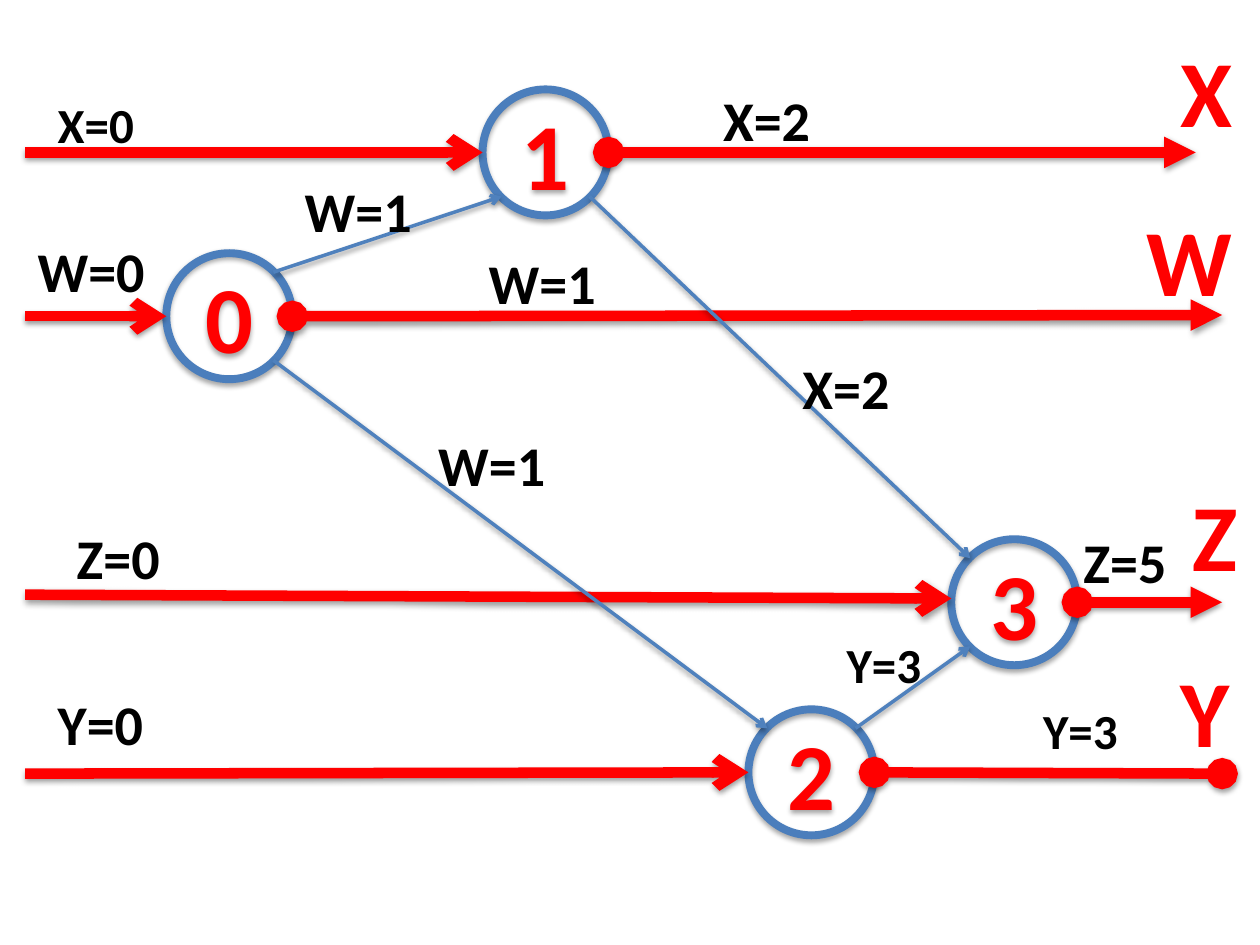
from lxml.etree import SubElement
from pptx import Presentation
from pptx.dml.color import RGBColor
from pptx.enum.shapes import MSO_CONNECTOR, MSO_SHAPE
from pptx.enum.text import MSO_ANCHOR, MSO_AUTO_SIZE, PP_ALIGN
from pptx.oxml.ns import qn
from pptx.util import Inches, Pt

COLORS = {"red": "FF0000", "ring": "4B7EBC", "edge": "4F81BD", "black": "000000"}
DIAMETER = 1.0
RADIUS = DIAMETER / 2
DIAGONAL = 0.35  # centre to the 45-degree point on the ring, along each axis

prs = Presentation()
prs.slide_width, prs.slide_height = Inches(10), Inches(7.5)
slide = prs.slides.add_slide(prs.slide_layouts[6])


def style_stroke(item, color, width, opacity, distance):
    """Set the line of a shape or connector and give it a soft shadow below."""
    item.line.color.rgb = RGBColor.from_string(COLORS[color])
    item.line.width = Pt(width)
    properties = item._element.spPr
    for old in properties.findall(qn("a:effectLst")):
        properties.remove(old)
    effects = SubElement(properties, qn("a:effectLst"))
    shadow = SubElement(effects, qn("a:outerShdw"), blurRad=str(Pt(3.1)),
                        dist=str(Pt(distance)), dir="5400000", rotWithShape="0")
    black = SubElement(shadow, qn("a:srgbClr"), val=COLORS["black"])
    SubElement(black, qn("a:alpha"), val=str(opacity * 1000))


def write(frame, text, size, color):
    frame.text = text
    font = frame.paragraphs[0].runs[0].font
    font.name, font.size, font.bold = "Calibri", Pt(size), True
    font.color.rgb = RGBColor.from_string(COLORS[color])


# Numbered nodes, by centre
nodes = {"0": (1.82, 2.51), "3": (8.05, 4.78), "1": (4.33, 1.21), "2": (6.44, 6.13)}
for number, (x, y) in nodes.items():
    node = slide.shapes.add_shape(MSO_SHAPE.OVAL, Inches(x - RADIUS), Inches(y - RADIUS),
                                  Inches(DIAMETER), Inches(DIAMETER))
    node.fill.background()
    style_stroke(node, "ring", 4.5, 35, 1.8)
    write(node.text_frame, number, 54, "red")
    node.text_frame.vertical_anchor = MSO_ANCHOR.MIDDLE
    node.text_frame.paragraphs[0].alignment = PP_ALIGN.CENTER

# Timelines: node, start and end of its variable's line, arrival height, end mark
timelines = [
    ("0", (0.2, 2.51), (9.7, 2.5), 2.51, "triangle"),
    ("1", (0.2, 1.21), (9.49, 1.21), 1.21, "triangle"),
    ("3", (0.2, 4.72), (9.7, 4.78), 4.75, "triangle"),
    ("2", (0.2, 6.14), (9.7, 6.14), 6.13, "oval"),
]
links = []
for number, start, end, arrival, end_mark in timelines:
    x, y = nodes[number]
    links.append(((x + RADIUS, y), end, "red", 6, "oval", end_mark))
    links.append((start, (x - RADIUS, arrival), "red", 6, "none", "arrow"))

# Dependencies: source, vertical side it leaves from, target, side it enters (-1 is up)
dependencies = [("0", -1, "1", 1), ("0", 1, "2", -1), ("1", 1, "3", -1), ("2", -1, "3", 1)]
for source, leaving, target, entering in dependencies:
    (x1, y1), (x2, y2) = nodes[source], nodes[target]
    links.append(((x1 + DIAGONAL, y1 + leaving * DIAGONAL),
                  (x2 - DIAGONAL, y2 + entering * DIAGONAL), "edge", 2, "none", "arrow"))

for (x1, y1), (x2, y2), color, width, head, tail in links:
    link = slide.shapes.add_connector(MSO_CONNECTOR.STRAIGHT, Inches(x1), Inches(y1),
                                      Inches(x2), Inches(y2))
    style_stroke(link, color, width, 38, 1.6)
    stroke = link.line._get_or_add_ln()
    SubElement(stroke, qn("a:headEnd"), type=head)
    SubElement(stroke, qn("a:tailEnd"), type=tail)

# Variable names and values: text, left, top, width, size
labels = [
    ("W", 9, 1.55, 0.89, 54),
    ("Z", 9.37, 3.74, 0.56, 54),
    ("X", 9.27, 0.21, 0.62, 54),
    ("Y", 9.27, 5.13, 0.6, 54),
    ("X=0", 0.36, 0.7, 0.81, 28),
    ("W=0", 0.2, 1.83, 1.06, 32),
    ("Z=0", 0.51, 4.11, 0.87, 32),
    ("Y=0", 0.36, 5.42, 0.9, 32),
    ("X=2", 5.64, 0.63, 0.9, 32),
    ("W=1", 2.32, 1.35, 1.06, 32),
    ("Y=3", 8.18, 5.51, 0.81, 28),
    ("Z=5", 8.5, 4.14, 0.87, 32),
    ("W=1", 3.78, 1.92, 1.06, 32),
    ("W=1", 3.38, 3.37, 1.06, 32),
    ("X=2", 6.27, 2.76, 0.9, 32),
    ("Y=3", 6.62, 4.99, 0.81, 28),
]
heights = {54: 1.01, 32: 0.64, 28: 0.57}
for text, left, top, width, size in labels:
    label = slide.shapes.add_textbox(Inches(left), Inches(top), Inches(width),
                                     Inches(heights[size]))
    label.text_frame.word_wrap = False
    label.text_frame.auto_size = MSO_AUTO_SIZE.SHAPE_TO_FIT_TEXT
    write(label.text_frame, text, size, "red" if size == 54 else "black")

prs.save("out.pptx")
